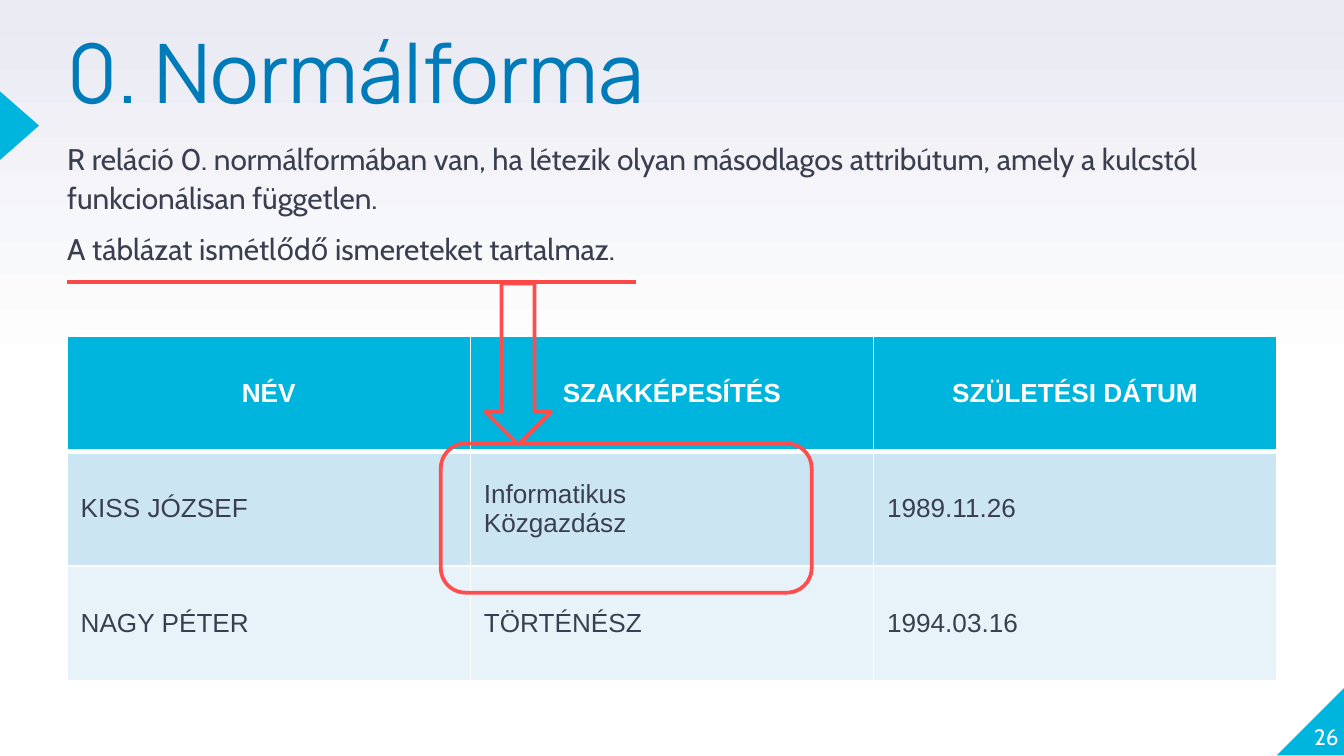
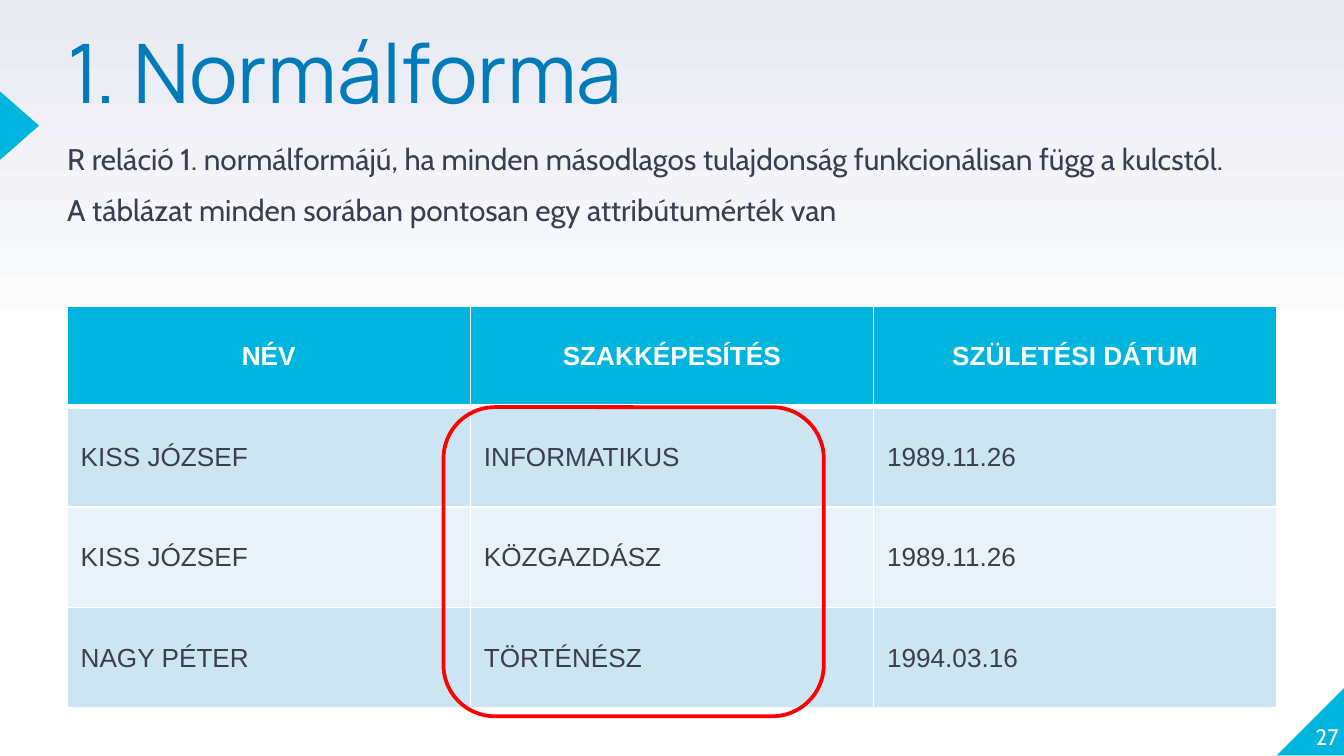
"""Build two slides on the 0th and 1st normal forms."""
from copy import deepcopy

from lxml import etree
from pptx import Presentation
from pptx.dml.color import RGBColor
from pptx.enum.shapes import MSO_CONNECTOR, MSO_SHAPE as SHAPE
from pptx.enum.text import MSO_ANCHOR as ANCHOR, MSO_AUTO_SIZE, PP_ALIGN as ALIGN
from pptx.oxml.ns import qn
from pptx.util import Inches, Pt

COLORS = {
    "white": "FFFFFF", "haze": "E9EAF2", "cyan": "00B5DD", "title": "007BB9",
    "text": "3A3F50", "odd": "CCE5F2", "even": "E7F3F9",
    "coral": "FF4D4D", "underline": "FE4747", "red": "FF0000",
}
HEADER = ["NÉV", "SZAKKÉPESÍTÉS", "SZÜLETÉSI DÁTUM"]
PAGES = [
    {
        "number": "26",
        "title": "0. Normálforma",
        "body": [
            "R reláció 0. normálformában van, ha létezik olyan másodlagos attribútum, "
            "amely a kulcstól funkcionálisan független.",
            "A táblázat ismétlődő ismereteket tartalmaz.",
        ],
        "top": 2.5,
        "height": 2.57,
        "rows": [
            ["KISS JÓZSEF", "Informatikus\nKözgazdász", "1989.11.26"],
            ["NAGY PÉTER", "TÖRTÉNÉSZ", "1994.03.16"],
        ],
        "marks": [
            (SHAPE.ROUNDED_RECTANGLE, (3.28, 3.3, 2.76, 1.11), "coral"),
            (SHAPE.DOWN_ARROW, (3.61, 2.11, 0.49, 1.2), "coral"),
        ],
        "underlines": [(0.5, 2.1, 4.73, 2.1)],
    },
    {
        "number": "27",
        "title": "1. Normálforma",
        "body": [
            "R reláció 1. normálformájú, ha minden másodlagos tulajdonság "
            "funkcionálisan függ a kulcstól.",
            "A táblázat minden sorában pontosan egy attribútumérték van",
        ],
        "top": 2.28,
        "height": 2.99,
        "rows": [
            ["KISS JÓZSEF", "INFORMATIKUS", "1989.11.26"],
            ["KISS JÓZSEF", "KÖZGAZDÁSZ", "1989.11.26"],
            ["NAGY PÉTER", "TÖRTÉNÉSZ", "1994.03.16"],
        ],
        "marks": [(SHAPE.ROUNDED_RECTANGLE, (3.3, 3.03, 2.83, 2.3), "red")],
        "underlines": [],
    },
]


def color(name):
    return RGBColor.from_string(COLORS[name])


def write(frame, lines, font, size, ink, align=ALIGN.LEFT, bold=False,
          spacing=1.0, before=0, anchor=None):
    if anchor is not None:
        frame.word_wrap = True
        frame.auto_size = MSO_AUTO_SIZE.NONE
        frame.vertical_anchor = anchor
        frame.margin_left = frame.margin_right = 0
        frame.margin_top = frame.margin_bottom = 0
    for index, line in enumerate(lines):
        para = frame.add_paragraph() if index else frame.paragraphs[0]
        para.alignment = align
        para.line_spacing = spacing
        para.space_before = Pt(before)
        span = para.add_run()
        span.text = line
        span.font.name = font
        span.font.size = Pt(size)
        span.font.bold = bold
        span.font.color.rgb = color(ink)


deck = Presentation()
deck.slide_width = Inches(10)
deck.slide_height = deck.slide_width * 9 // 16

for content in PAGES:
    page = deck.slides.add_slide(deck.slide_layouts[1])
    shapes = page.shapes

    backdrop = page.background.fill
    backdrop.gradient()
    backdrop.gradient_angle = 90
    for stop, position, name in zip(backdrop.gradient_stops, (0, 1), ("white", "haze")):
        stop.position = position
        stop.color.rgb = color(name)
    first_stop = page.element.find(".//" + qn("a:gs"))
    middle_stop = deepcopy(first_stop)
    middle_stop.set("pos", "50000")
    first_stop.addnext(middle_stop)

    for preset, area, turn in [
        (SHAPE.RIGHT_TRIANGLE, (9.5, 5.11, 0.51, 0.51), 0),
        (SHAPE.ISOSCELES_TRIANGLE, (-0.11, 0.79, 0.51, 0.29), 90),
    ]:
        corner = shapes.add_shape(preset, *map(Inches, area))
        corner.shadow.inherit = False
        corner.fill.solid()
        corner.fill.fore_color.rgb = color("cyan")
        corner.line.fill.background()
        corner.rotation = turn
        if preset == SHAPE.RIGHT_TRIANGLE:
            corner.element.spPr.find(qn("a:xfrm")).set("flipH", "1")

    title, body = shapes.title, page.placeholders[1]
    number = shapes.add_textbox(0, 0, 0, 0)
    for box, area in [
        (title, (0.5, 0.3, 9.5, 1.18)),
        (body, (0.5, 1.02, 9, 0.77)),
        (number, (9.46, 5.07, 0.5, 0.51)),
    ]:
        box.left, box.top, box.width, box.height = map(Inches, area)
    write(title.text_frame, [content["title"]], "Manrope", 44, "title",
          spacing=0.8, anchor=ANCHOR.TOP)
    write(body.text_frame, content["body"], "Cabin", 16, "text",
          spacing=1.1, before=6, anchor=ANCHOR.TOP)
    write(number.text_frame, [content["number"]], "Cabin", 12, "white",
          align=ALIGN.RIGHT, anchor=ANCHOR.BOTTOM)
    for para in body.text_frame.paragraphs:
        settings = para._p.get_or_add_pPr()
        settings.set("marL", "0")
        settings.set("indent", "0")
        etree.SubElement(settings, qn("a:buNone"))

    rows = [HEADER] + content["rows"]
    table = shapes.add_table(len(rows), len(HEADER), Inches(0.5), Inches(content["top"]),
                             Inches(9), Inches(content["height"])).table
    for row, texts in enumerate(rows):
        heading = row == 0
        fill_name = "cyan" if heading else "odd" if row % 2 else "even"
        for column, text in enumerate(texts):
            cell = table.cell(row, column)
            cell.vertical_anchor = ANCHOR.MIDDLE
            write(cell.text_frame, text.split("\n"), "Arial", 14,
                  "white" if heading else "text",
                  align=ALIGN.CENTER if heading else ALIGN.LEFT, bold=heading)
            borders = {"lnL": 1, "lnR": 1, "lnT": 3 if row == 1 else 1,
                       "lnB": 3 if heading else 1}
            for side, width in borders.items():
                edge = etree.SubElement(cell._tc.get_or_add_tcPr(), qn("a:" + side),
                                        w=str(Pt(width)))
                paint = etree.SubElement(edge, qn("a:solidFill"))
                etree.SubElement(paint, qn("a:srgbClr"), val=COLORS["white"])
            cell.fill.solid()
            cell.fill.fore_color.rgb = color(fill_name)

    for preset, area, name in content["marks"]:
        mark = shapes.add_shape(preset, *map(Inches, area))
        mark.shadow.inherit = False
        mark.fill.background()
        mark.line.color.rgb = color(name)
        mark.line.width = Pt(2)

    for ends in content["underlines"]:
        underline = shapes.add_connector(MSO_CONNECTOR.STRAIGHT, *map(Inches, ends))
        underline.line.color.rgb = color("underline")
        underline.line.width = Pt(2.25)
        etree.SubElement(underline.element.spPr, qn("a:effectLst"))

deck.save("out.pptx")
